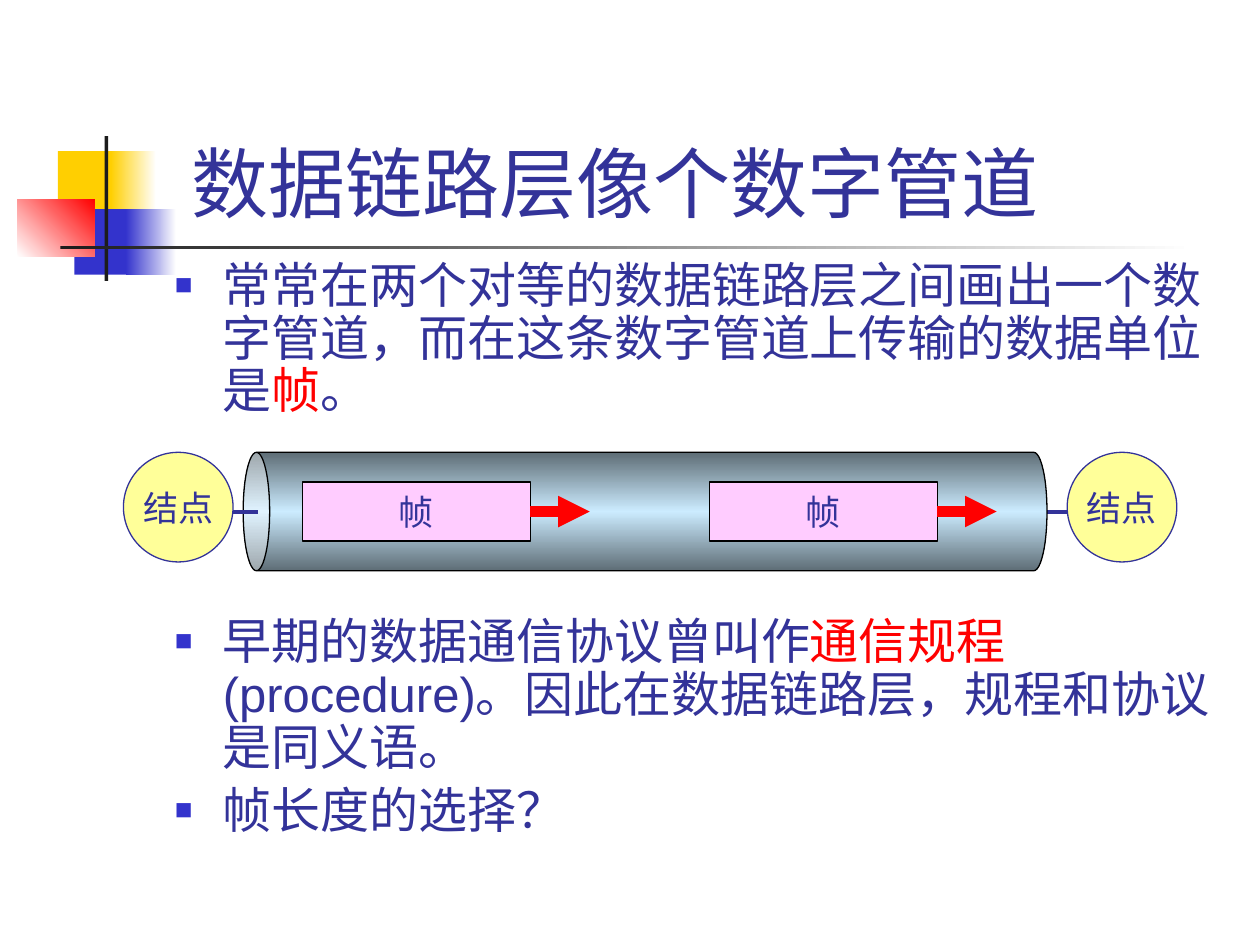
from lxml.etree import SubElement
from pptx import Presentation
from pptx.dml.color import RGBColor as RGB
from pptx.enum.shapes import MSO_CONNECTOR as LINE, MSO_SHAPE as SHAPE
from pptx.enum.text import MSO_ANCHOR as ANCHOR, PP_ALIGN as ALIGN
from pptx.oxml.ns import qn
from pptx.util import Inches, Pt

HUE = {
    "ink": "333399", "red": "FF0000", "gold": "FFCF01", "blue": "3333CC",
    "dark": "1C1C1C", "white": "FFFFFF", "black": "000000",
    "node": "FFFF99", "frame": "FFCCFF", "rim": "5E6D76", "glow": "CCECFF",
}

TITLE = "数据链路层像个数字管道 "
# Space before in points, then runs of (text, colour)
POINTS = [
    (5.6, [("常常在两个对等的数据链路层之间画出一个数字管道，而在这条数字管道上传输的数据单位是", "ink"),
           ("帧", "red"), ("。", "ink")]),
    (113, [("早期的数据通信协议曾叫作", "ink"), ("通信规程", "red"),
           ("(procedure)。因此在数据链路层，规程和协议是同义语。", "ink")]),
    (5.6, [("帧长度的选择？", "ink")]),
]
# Left, top, width, height, colours, angle
DECOR = [
    (0.46, 1.2, 0.48, 0.52, ["gold"], 0),
    (0.88, 1.2, 0.36, 0.52, ["gold", "white"], 0),
    (0.59, 1.66, 0.46, 0.52, ["blue"], 0),
    (1, 1.66, 0.4, 0.52, ["blue", "white"], 0),
    (0.14, 1.58, 0.61, 0.46, ["white", "red"], 45),
    (0.83, 1.08, 0.03, 1.15, ["dark"], 0),
    (0.48, 1.95, 9, 0.03, ["dark", "white"], 0),
]
NODE, FRAME = "结点", "帧"
AXIS = 4.06                       # height of the link's centre line
NODES, NODE_TOP, DIAM = (0.98, 8.47), 3.59, 0.87
FRAMES, FRAME_W, FRAME_H = (2.4, 5.63), 1.81, 0.47
PIPE_MID, PIPE_W, PIPE_H = 5.12, 6.38, 0.94
ARROW, STUB = 0.47, 0.2


def rgb(name):
    return RGB.from_string(HUE[name])


def paint(fill, names, angle=0):
    """Fill with one colour, or with evenly spaced gradient stops."""
    if len(names) == 1:
        fill.solid()
        fill.fore_color.rgb = rgb(names[0])
        return
    fill.gradient()
    fill.gradient_angle = angle
    stops = fill._fill._gradFill.find(qn("a:gsLst"))
    for old in list(stops):
        stops.remove(old)
    for i, name in enumerate(names):
        stop = SubElement(stops, qn("a:gs"), pos=str(i * 100000 // (len(names) - 1)))
        SubElement(stop, qn("a:srgbClr"), val=HUE[name])


def add_run(para, text, size, font, color):
    run = para.add_run()
    run.text = text
    run.font.size, run.font.name = Pt(size), font
    run.font.color.rgb = rgb(color)


def add_box(kind, x, y, w, h, names, angle=0, edge=None, label=None):
    box = slide.shapes.add_shape(kind, *map(Inches, (x, y, w, h)))
    box.shadow.inherit = False
    paint(box.fill, names, angle)
    if edge:
        box.line.color.rgb, box.line.width = rgb(edge), Pt(0.75)
    else:
        box.line.fill.background()
    if label:
        frame = box.text_frame
        frame.word_wrap, frame.vertical_anchor = False, ANCHOR.MIDDLE
        frame.paragraphs[0].alignment = ALIGN.CENTER
        add_run(frame.paragraphs[0], label, 20, "Lato", "ink")
    return box


def add_line(x1, x2, color, width, head=False):
    line = slide.shapes.add_connector(
        LINE.STRAIGHT, *map(Inches, (x1, AXIS, x2, AXIS)))
    line.line.color.rgb, line.line.width = rgb(color), Pt(width)
    if head:
        SubElement(line.line._get_or_add_ln(), qn("a:tailEnd"), type="triangle")
    SubElement(line._element.spPr, qn("a:effectLst"))
    return line


def add_bullet(para):
    props = para._p.get_or_add_pPr()
    props.set("marL", str(Inches(0.38)))
    props.set("indent", str(-Inches(0.38)))
    SubElement(SubElement(props, qn("a:buClr")), qn("a:srgbClr"), val=HUE["blue"])
    SubElement(props, qn("a:buSzPct"), val="60000")
    SubElement(props, qn("a:buFont"), typeface="Arial")
    SubElement(props, qn("a:buChar"), char="■")


deck = Presentation()
deck.slide_width, deck.slide_height = Inches(10), Inches(7.5)
slide = deck.slides.add_slide(deck.slide_layouts[5])

for x, y, w, h, names, angle in DECOR:
    add_box(SHAPE.RECTANGLE, x, y, w, h, names, angle)

title = slide.shapes.title
title.left, title.top, title.width, title.height = map(Inches, (1.2, 1.02, 7.5, 0.84))
title.text_frame.vertical_anchor = ANCHOR.BOTTOM
para = title.text_frame.paragraphs[0]
para.alignment = ALIGN.CENTER
add_run(para, TITLE, 44, "Arial", "ink")

body = slide.shapes.add_textbox(*map(Inches, (1.29, 2.02, 8.5, 5.29))).text_frame
body.word_wrap = True
for i, (gap, runs) in enumerate(POINTS):
    para = body.add_paragraph() if i else body.paragraphs[0]
    para.line_spacing, para.space_before = 0.9, Pt(gap)
    add_bullet(para)
    for text, color in runs:
        add_run(para, text, 28, "Arial", color)

for x in NODES:
    add_box(SHAPE.OVAL, x, NODE_TOP, DIAM, DIAM, ["node"], edge="ink", label=NODE)
start = NODES[0] + DIAM
add_line(start, NODES[1], "ink", 2.25)

pipe = add_box(SHAPE.CAN, PIPE_MID - PIPE_H / 2, AXIS - PIPE_W / 2, PIPE_H, PIPE_W,
               ["rim", "glow", "rim"], edge="black")
pipe.rotation = 270
pipe.adjustments[0] = 0.224
add_line(start, start + STUB, "ink", 2.25)

for x in FRAMES:
    box = add_box(SHAPE.RECTANGLE, x, AXIS - FRAME_H / 2, FRAME_W, FRAME_H,
                  ["frame"], edge="black", label=FRAME)
    end = x + FRAME_W
    add_line(end, end + ARROW, "red", 6, head=True).begin_connect(box, 3)

deck.save("out.pptx")
